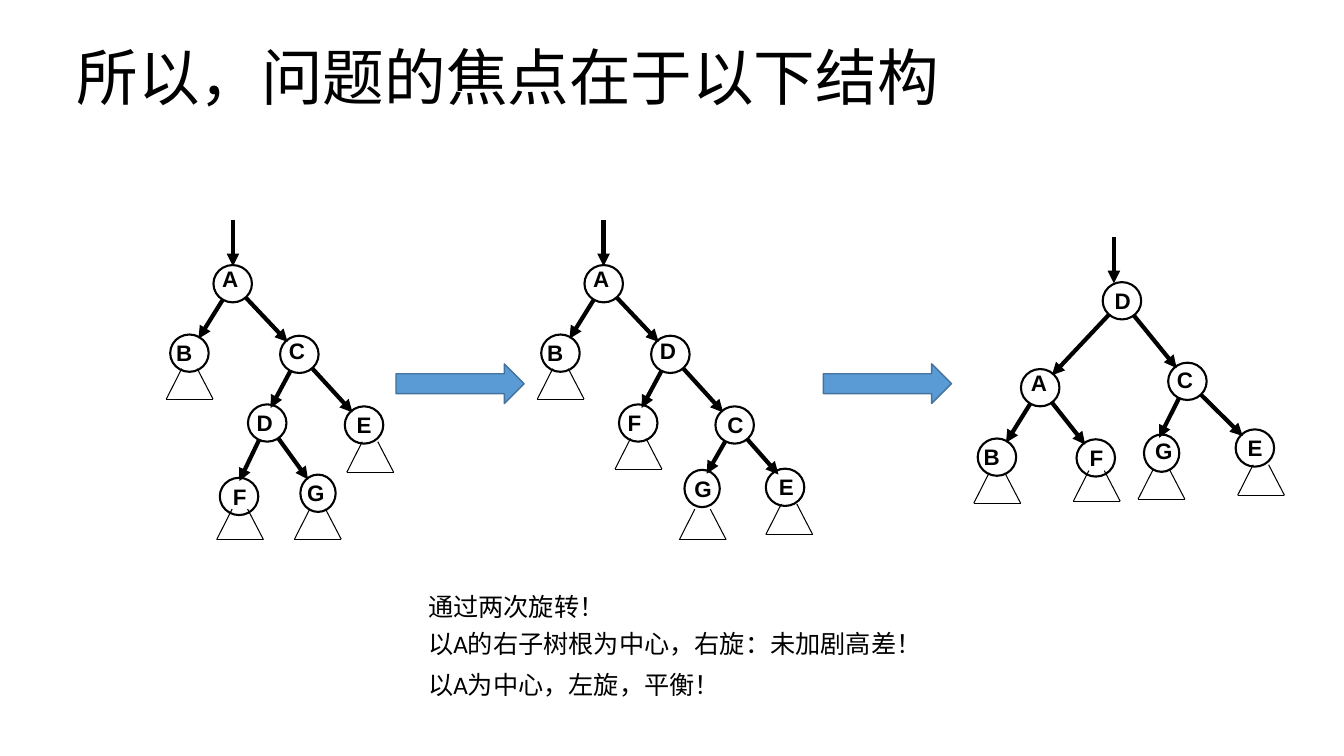
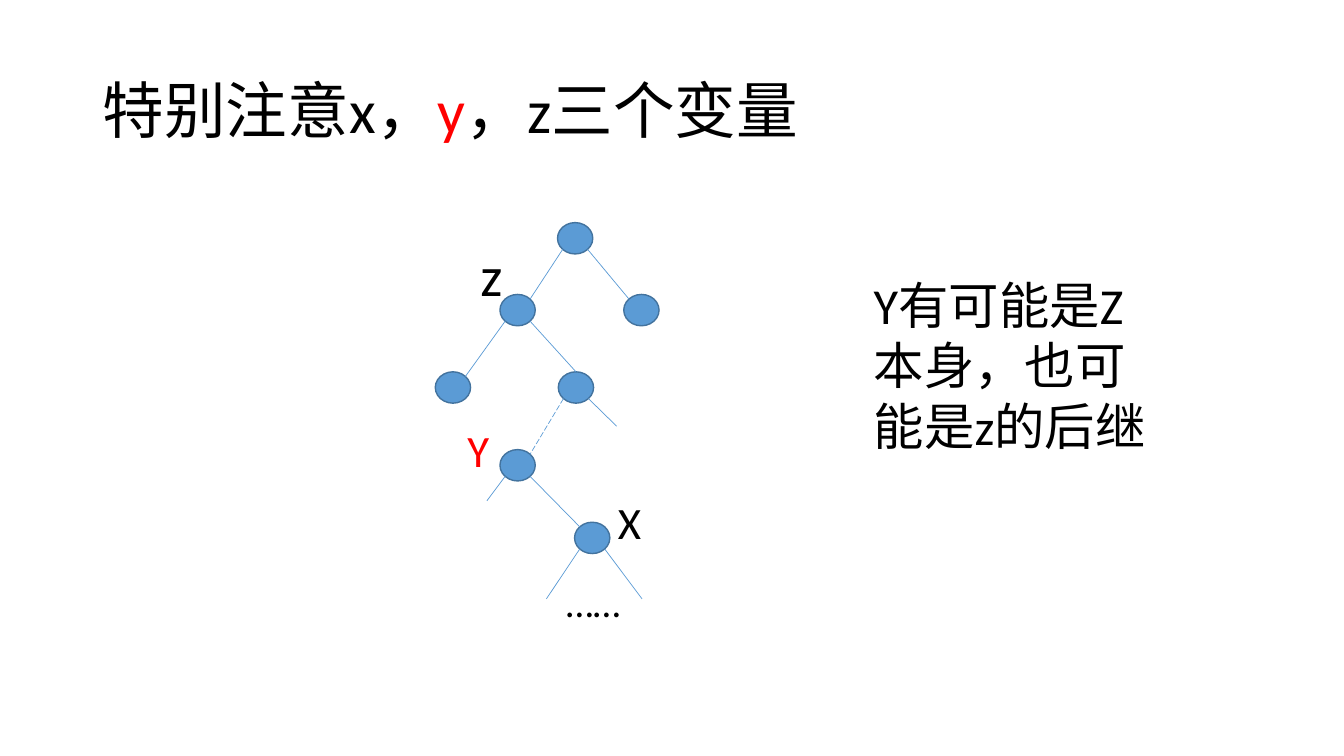
from dataclasses import dataclass, field
from math import cos, hypot, radians, sin
from typing import NamedTuple

from lxml.etree import SubElement
from pptx import Presentation
from pptx.dml.color import RGBColor
from pptx.enum.dml import MSO_LINE
from pptx.enum.shapes import MSO_CONNECTOR, MSO_SHAPE
from pptx.enum.text import MSO_ANCHOR as Anchor, MSO_AUTO_SIZE as AutoSize
from pptx.oxml.ns import qn
from pptx.util import Cm, Pt


@dataclass(frozen=True)
class Theme:
    ink: RGBColor = RGBColor(0, 0, 0)
    red: RGBColor = RGBColor(0xFF, 0, 0)
    blue: RGBColor = RGBColor(0x5B, 0x9B, 0xD5)
    border: RGBColor = RGBColor(0x43, 0x73, 0x9E)
    body_font: str = "Calibri"
    label_font: str = "Arial"
    title: int = 44
    z_mark: int = 40
    remark: int = 36
    mark: int = 32
    dots: int = 28
    note: int = 18
    label: int = 16
    arrow_line: float = 3
    node_line: float = 1.5
    shape_line: float = 1
    subtree_line: float = 0.75
    branch_line: float = 0.5


T = Theme()
NODE_W, NODE_H = 0.97, 0.94
START_GAP, END_GAP = 0.48, 0.43
DOT_W, DOT_H = 0.89, 0.79


class Point(NamedTuple):
    x: float
    y: float


class Box(NamedTuple):
    x: float
    y: float
    w: float
    h: float


class Run(NamedTuple):
    text: str
    color: RGBColor = T.ink


@dataclass(frozen=True)
class Node:
    label: str
    x: float
    y: float
    parent: str = ""
    shift: Point = Point(0, 0)
    aim: float = 0
    subtree: Point | None = None
    w: float = NODE_W

    @property
    def center(self) -> Point:
        return Point(self.x + self.w / 2, self.y + NODE_H / 2)


@dataclass(frozen=True)
class Tree:
    entry_x: float
    nodes: list[Node] = field(default_factory=list)


class Branch(NamedTuple):
    parent: str
    angle: int
    child: str
    landing: int
    dashed: bool = False


class Stub(NamedTuple):
    parent: str
    angle: int
    end: Point


class Mark(NamedTuple):
    text: str
    box: Box
    size: int
    color: RGBColor = T.ink
    wrap: bool = False


HANG = Point(-0.1, 0.86)
TREES = [
    Tree(5.87, [
        Node("A", 5.38, 6.68, shift=Point(-0.03, -0.13)),
        Node("B", 4.29, 8.43, "A", Point(-0.1, 0), subtree=HANG),
        Node("C", 7.06, 8.46, "A", Point(-0.03, -0.1)),
        Node("D", 6.25, 10.19, "C", Point(-0.03, 0), aim=-0.12),
        Node("E", 8.69, 10.24, "C", Point(0.05, 0), subtree=Point(0.05, 0.89)),
        Node("F", 5.54, 12.04, "D", Point(0.08, 0), aim=-0.18, subtree=Point(-0.08, 0.79)),
        Node("G", 7.57, 11.96, "D", Point(-0.08, 0), subtree=Point(-0.15, 0.86), w=0.89),
    ]),
    Tree(15.21, [
        Node("A", 14.73, 6.68, shift=Point(-0.03, -0.13)),
        Node("B", 13.64, 8.43, "A", Point(-0.1, 0), subtree=HANG),
        Node("D", 16.41, 8.46, "A", Point(-0.03, -0.1)),
        Node("F", 15.6, 10.19, "D", Point(-0.03, 0), aim=-0.12, subtree=HANG),
        Node("C", 18.03, 10.24, "D", Point(0.05, 0)),
        Node("G", 17.25, 11.84, "C", aim=-0.1, subtree=Point(-0.13, 0.99), w=0.89),
        Node("E", 19.3, 11.81, "C", Point(0.08, 0), aim=0.12, subtree=Point(0, 0.89)),
    ]),
    Tree(28.07, [
        Node("D", 27.79, 7.11, shift=Point(0.05, 0)),
        Node("A", 25.73, 9.3, "D", Point(0, -0.13)),
        Node("B", 24.64, 11.05, "A", Point(-0.1, 0), subtree=HANG),
        Node("F", 27.13, 11.07, "A", Point(0.08, 0), subtree=Point(-0.08, 0.79)),
        Node("C", 29.44, 9.14, "D", Point(-0.03, -0.05)),
        Node("G", 28.83, 10.95, "C", Point(0.03, -0.05), aim=-0.26, subtree=Point(-0.15, 0.86), w=0.89),
        Node("E", 31.14, 10.82, "C", Point(0.05, 0), subtree=Point(0.05, 0.89)),
    ]),
]
NOTES = [
    Mark("通过两次旋转！", Box(10.54, 14.78, 5, 1.02), T.note),
    Mark("以A的右子树根为中心，右旋：未加剧高差！", Box(10.54, 15.72, 13.06, 1.02), T.note),
    Mark("以A为中心，左旋，平衡！", Box(10.54, 16.74, 7.92, 1.02), T.note),
]
DOTS = {
    "root": Point(14.05, 5.61),
    "right": Point(15.72, 7.42),
    "z": Point(12.6, 7.42),
    "z left": Point(10.97, 9.37),
    "z right": Point(14.07, 9.37),
    "y": Point(12.6, 11.33),
    "x": Point(14.48, 13.16),
}
UP_LEFT, UP, UP_RIGHT, DOWN_RIGHT, DOWN_LEFT = 225, 270, 315, 45, 135
BRANCHES = [
    Branch("root", DOWN_LEFT, "z", UP_RIGHT),
    Branch("z", DOWN_LEFT, "z left", UP_RIGHT),
    Branch("root", DOWN_RIGHT, "right", UP_LEFT),
    Branch("z", DOWN_RIGHT, "z right", UP),
    Branch("z right", DOWN_LEFT, "y", UP_RIGHT, True),
    Branch("y", DOWN_RIGHT, "x", UP_LEFT),
]
STUBS = [
    Stub("z right", DOWN_RIGHT, Point(15.54, 10.74)),
    Stub("y", DOWN_LEFT, Point(12.27, 12.62)),
    Stub("x", DOWN_LEFT, Point(13.77, 15.09)),
    Stub("x", DOWN_RIGHT, Point(16.18, 15.09)),
]
MARKS = [
    Mark("z", Box(11.86, 5.94, 1.07, 1.96), T.z_mark),
    Mark("Y", Box(11.53, 10.52, 1.07, 1.63), T.mark, T.red),
    Mark("……", Box(14.02, 14.45, 1.9, 1.45), T.dots),
    Mark("X", Box(15.32, 12.34, 1.12, 1.63), T.mark),
    Mark("Y有可能是Z本身，也可能是z的后继", Box(21.77, 6.78, 7.7, 4.88), T.remark, wrap=True),
]


def add_text(s, box: Box, runs: list[Run], size: int, font: str = T.body_font,
             bold: bool = False, wrap: bool = True):
    tf = s.shapes.add_textbox(*map(Cm, box)).text_frame
    tf.word_wrap = wrap
    tf.auto_size = AutoSize.SHAPE_TO_FIT_TEXT
    p = tf.paragraphs[0]
    p.font.name, p.font.size, p.font.bold = font, Pt(size), bold
    for run in runs:
        r = p.add_run()
        r.text = run.text
        r.font.color.rgb = run.color
    return tf


def add_title(s, x: float, y: float, runs: list[Run]) -> None:
    tf = add_text(s, Box(x, y, 29.21, 3.68), runs, T.title)
    tf.auto_size = AutoSize.NONE
    tf.vertical_anchor = Anchor.MIDDLE
    tf.paragraphs[0].line_spacing = 0.9


def add_mark(s, mark: Mark) -> None:
    add_text(s, mark.box, [Run(mark.text, mark.color)], mark.size, wrap=mark.wrap)


def add_line(s, start: Point, end: Point, color: RGBColor, width: float,
             arrow: bool = False, dashed: bool = False) -> None:
    c = s.shapes.add_connector(MSO_CONNECTOR.STRAIGHT, *map(Cm, (*start, *end)))
    c.line.color.rgb = color
    c.line.width = Pt(width)
    if dashed:
        c.line.dash_style = MSO_LINE.LONG_DASH
    if arrow:
        SubElement(c.line._get_or_add_ln(), qn("a:tailEnd"), type="triangle")
    SubElement(c._element.spPr, qn("a:effectLst"))


def add_shape(s, kind: MSO_SHAPE, box: Box, fill: RGBColor | None = T.blue,
              line: RGBColor = T.border, width: float = T.shape_line) -> None:
    sp = s.shapes.add_shape(kind, *map(Cm, box))
    sp.shadow.inherit = False
    if fill is None:
        sp.fill.background()
    else:
        sp.fill.solid()
        sp.fill.fore_color.rgb = fill
    sp.line.color.rgb = line
    sp.line.width = Pt(width)


def add_subtree(s, x: float, y: float) -> None:
    left, right = Point(x, y + 0.77), Point(x + 1.18, y + 0.77)
    for start, end in ((Point(x + 0.39, y), left), (Point(x + 0.78, y), right), (left, right)):
        add_line(s, start, end, T.ink, T.subtree_line)


def add_edge(s, parent: Node, child: Node) -> None:
    a = parent.center
    b = Point(child.center.x + child.aim, child.center.y)
    length = hypot(b.x - a.x, b.y - a.y)
    ux, uy = (b.x - a.x) / length, (b.y - a.y) / length
    add_line(s, Point(a.x + START_GAP * ux, a.y + START_GAP * uy),
             Point(b.x - END_GAP * ux, b.y - END_GAP * uy), T.ink, T.arrow_line, arrow=True)


def add_tree(s, tree: Tree) -> None:
    by_label = {n.label: n for n in tree.nodes}
    top = tree.nodes[0].y
    add_line(s, Point(tree.entry_x, top - 1.14), Point(tree.entry_x, top + 0.03),
             T.ink, T.arrow_line, arrow=True)
    for n in tree.nodes:
        add_shape(s, MSO_SHAPE.OVAL, Box(n.x, n.y, n.w, NODE_H), None, T.ink, T.node_line)
        add_text(s, Box(n.x + n.shift.x, n.y + n.shift.y, 1.4, NODE_H), [Run(n.label)],
                 T.label, T.label_font, bold=True)
        if n.subtree:
            add_subtree(s, n.x + n.subtree.x, n.y + n.subtree.y)
        if n.parent:
            add_edge(s, by_label[n.parent], n)


def rim(name: str, angle: int) -> Point:
    dot, turn = DOTS[name], radians(angle)
    return Point(dot.x + DOT_W / 2 * (1 + cos(turn)), dot.y + DOT_H / 2 * (1 + sin(turn)))


def rotation_slide(s) -> None:
    add_title(s, 1.68, 0.2, [Run("所以，问题的焦点在于以下结构")])
    for tree in TREES:
        add_tree(s, tree)
    for x in (9.98, 20.75):
        add_shape(s, MSO_SHAPE.RIGHT_ARROW, Box(x, 9.17, 3.23, 1))
    for note in NOTES:
        add_mark(s, note)


def variables_slide(s) -> None:
    add_title(s, 2.34, 1.02, [Run("特别注意x，"), Run("y", T.red), Run("，z三个变量")])
    for dot in DOTS.values():
        add_shape(s, MSO_SHAPE.OVAL, Box(*dot, DOT_W, DOT_H))
    for b in BRANCHES:
        add_line(s, rim(b.parent, b.angle), rim(b.child, b.landing),
                 T.blue, T.branch_line, dashed=b.dashed)
    for stub in STUBS:
        add_line(s, rim(stub.parent, stub.angle), stub.end, T.blue, T.branch_line)
    for mark in MARKS:
        add_mark(s, mark)


def main() -> None:
    prs = Presentation()
    prs.slide_width, prs.slide_height = Cm(33.87), Cm(19.05)
    for build in (rotation_slide, variables_slide):
        build(prs.slides.add_slide(prs.slide_layouts[6]))
    prs.save("out.pptx")


if __name__ == "__main__":
    main()
